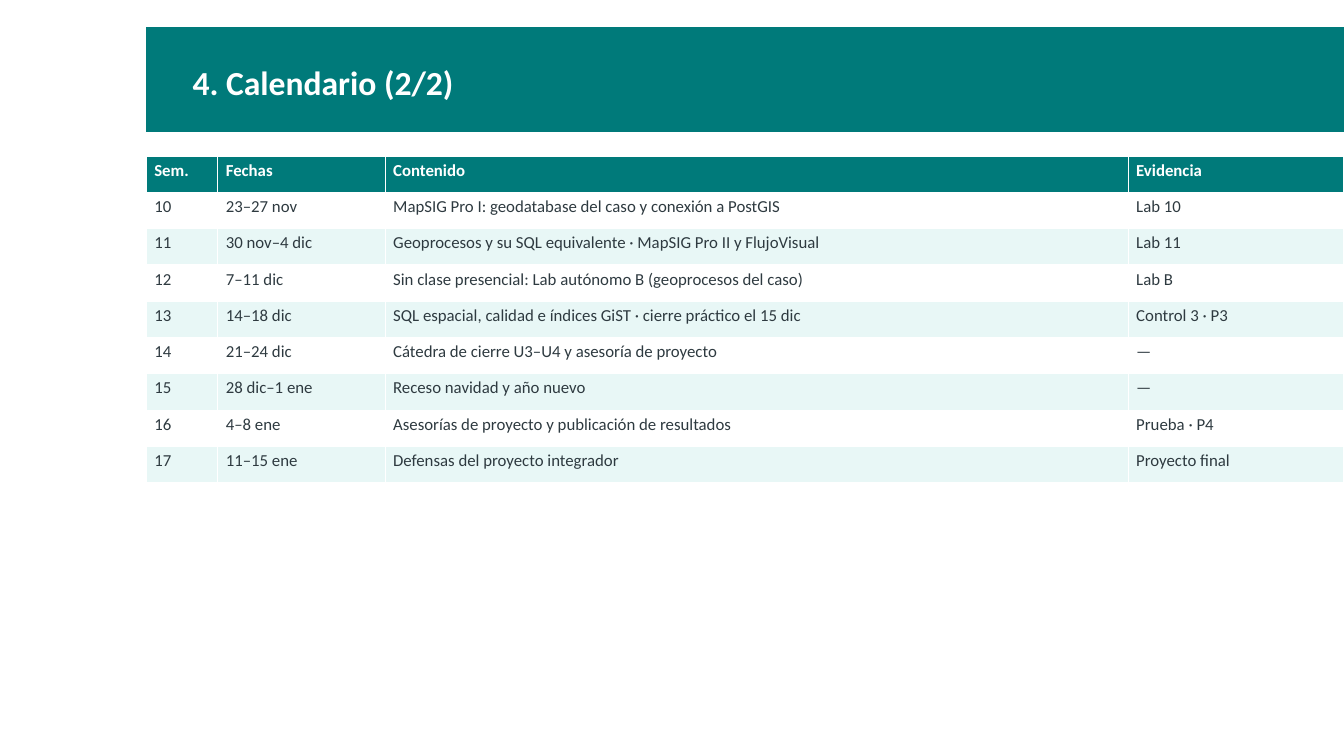
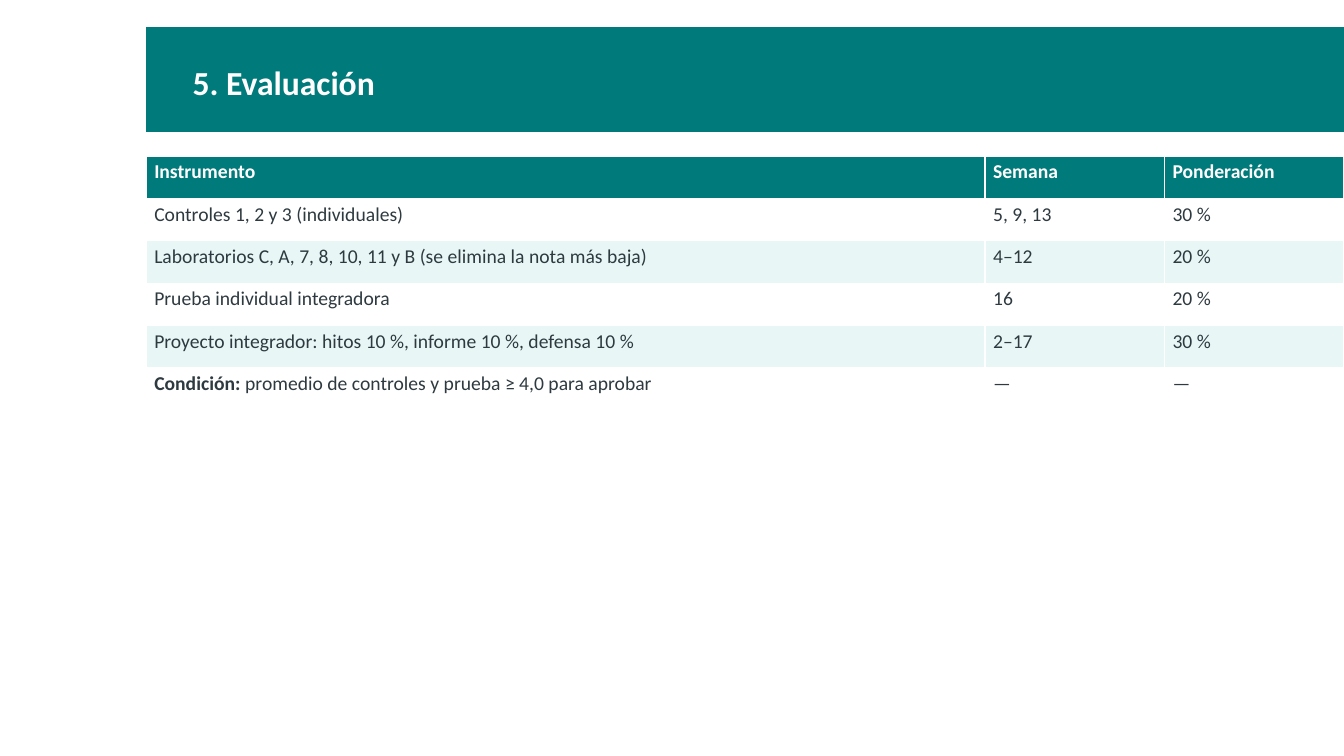
from pptx import Presentation
from pptx.dml.color import RGBColor
from pptx.enum.shapes import MSO_SHAPE
from pptx.enum.text import MSO_ANCHOR, MSO_AUTO_SIZE
from pptx.util import Emu, Pt

RECT = MSO_SHAPE.RECTANGLE
MIDDLE = MSO_ANCHOR.MIDDLE
GROW = MSO_AUTO_SIZE.SHAPE_TO_FIT_TEXT

FONT = "Calibri"
TEAL, MINT, WHITE, INK = "007A7A", "E8F7F6", "FFFFFF", "2E3A40"
WIDE, HIGH = 1333, 750
LEFT, SPAN = 145, 1188

DATES = [
    ("Sem.", "Fechas", "Contenido", "Evidencia"),
    ("10", "23–27 nov", "MapSIG Pro I: geodatabase del caso y conexión a PostGIS", "Lab 10"),
    ("11", "30 nov–4 dic", "Geoprocesos y su SQL equivalente · MapSIG Pro II y FlujoVisual", "Lab 11"),
    ("12", "7–11 dic", "Sin clase presencial: Lab autónomo B (geoprocesos del caso)", "Lab B"),
    ("13", "14–18 dic", "SQL espacial, calidad e índices GiST · cierre práctico el 15 dic", "Control 3 · P3"),
    ("14", "21–24 dic", "Cátedra de cierre U3–U4 y asesoría de proyecto", "—"),
    ("15", "28 dic–1 ene", "Receso navidad y año nuevo", "—"),
    ("16", "4–8 ene", "Asesorías de proyecto y publicación de resultados", "Prueba · P4"),
    ("17", "11–15 ene", "Defensas del proyecto integrador", "Proyecto final"),
]
GRADES = [
    ("Instrumento", "Semana", "Ponderación"),
    ("Controles 1, 2 y 3 (individuales)", "5, 9, 13", "30 %"),
    ("Laboratorios C, A, 7, 8, 10, 11 y B (se elimina la nota más baja)", "4–12", "20 %"),
    ("Prueba individual integradora", "16", "20 %"),
    ("Proyecto integrador: hitos 10 %, informe 10 %, defensa 10 %", "2–17", "30 %"),
    (("Condición:", " promedio de controles y prueba ≥ 4,0 para aprobar"), "—", "—"),
]


def px(count):
    return Emu(count * 9144)


def rgb(code):
    return RGBColor.from_string(code)


def pad(item):
    """Set the inner margins of a cell or a text frame."""
    item.margin_left = item.margin_right = px(8)
    item.margin_top = item.margin_bottom = px(4)


def write(frame, text, size=12, color=INK, bold=False, after=None):
    """Write a string, or a (bold lead, rest) pair, as one paragraph."""
    para = frame.paragraphs[0]
    if after is not None:
        para.space_after = Pt(after)
    runs = [(text, bold)] if isinstance(text, str) else [(text[0], True), (text[1], bold)]
    for words, heavy in runs:
        run = para.add_run()
        run.text = words
        font = run.font
        font.name, font.size, font.bold = FONT, Pt(size), heavy
        font.color.rgb = rgb(color)


def add_page(deck, title):
    """Add a blank slide with the title band."""
    page = deck.slides.add_slide(deck.slide_layouts[6])
    band = page.shapes.add_shape(RECT, px(LEFT), px(27), px(SPAN), px(104))
    band.shadow.inherit = False
    band.fill.solid()
    band.fill.fore_color.rgb = rgb(TEAL)
    band.line.fill.background()
    frame = page.shapes.add_textbox(px(183), px(38), px(1090), px(87)).text_frame
    frame.word_wrap = True
    frame.auto_size = GROW
    frame.vertical_anchor = MIDDLE
    pad(frame)
    write(frame, title, size=24, color=WHITE, bold=True, after=6)
    return page


def add_grid(page, rows, cols, step, size):
    """Add a table with a teal header and banded rows of height step."""
    table = page.shapes.add_table(
        len(rows), len(cols), px(LEFT), px(155), px(SPAN), px(step * len(rows))
    ).table
    for col, width in zip(table.columns, cols):
        col.width = px(width)
    for i, row in enumerate(rows):
        head = i == 0
        fill = TEAL if head else (MINT, WHITE)[i % 2]
        for j, text in enumerate(row):
            cell = table.cell(i, j)
            cell.fill.solid()
            cell.fill.fore_color.rgb = rgb(fill)
            pad(cell)
            write(cell.text_frame, text, size=size, color=WHITE if head else INK, bold=head)


def main():
    deck = Presentation()
    deck.slide_width, deck.slide_height = px(WIDE), px(HIGH)
    add_grid(add_page(deck, "4. Calendario (2/2)"), DATES, (71, 166, 737, 214), 36, 12)
    add_grid(add_page(deck, "5. Evaluación"), GRADES, (832, 178, 178), 42, 14)
    deck.save("out.pptx")


if __name__ == "__main__":
    main()
